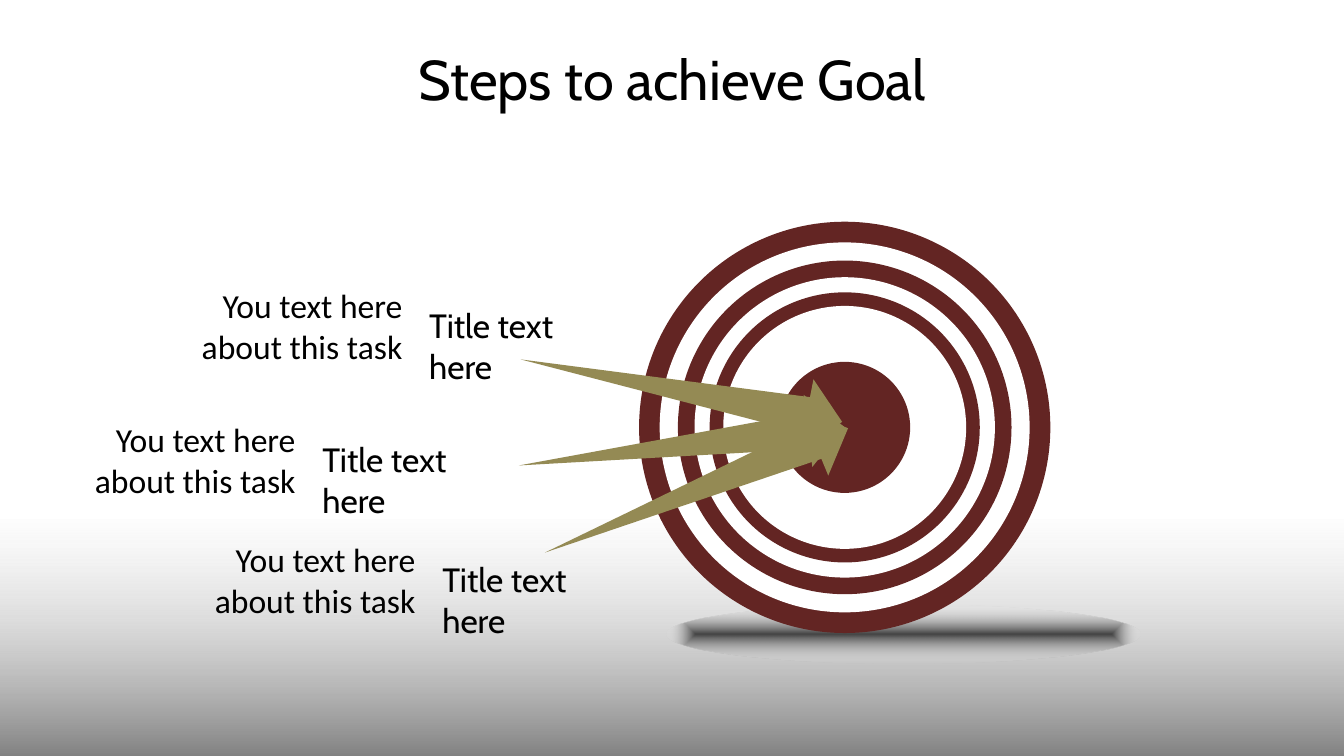
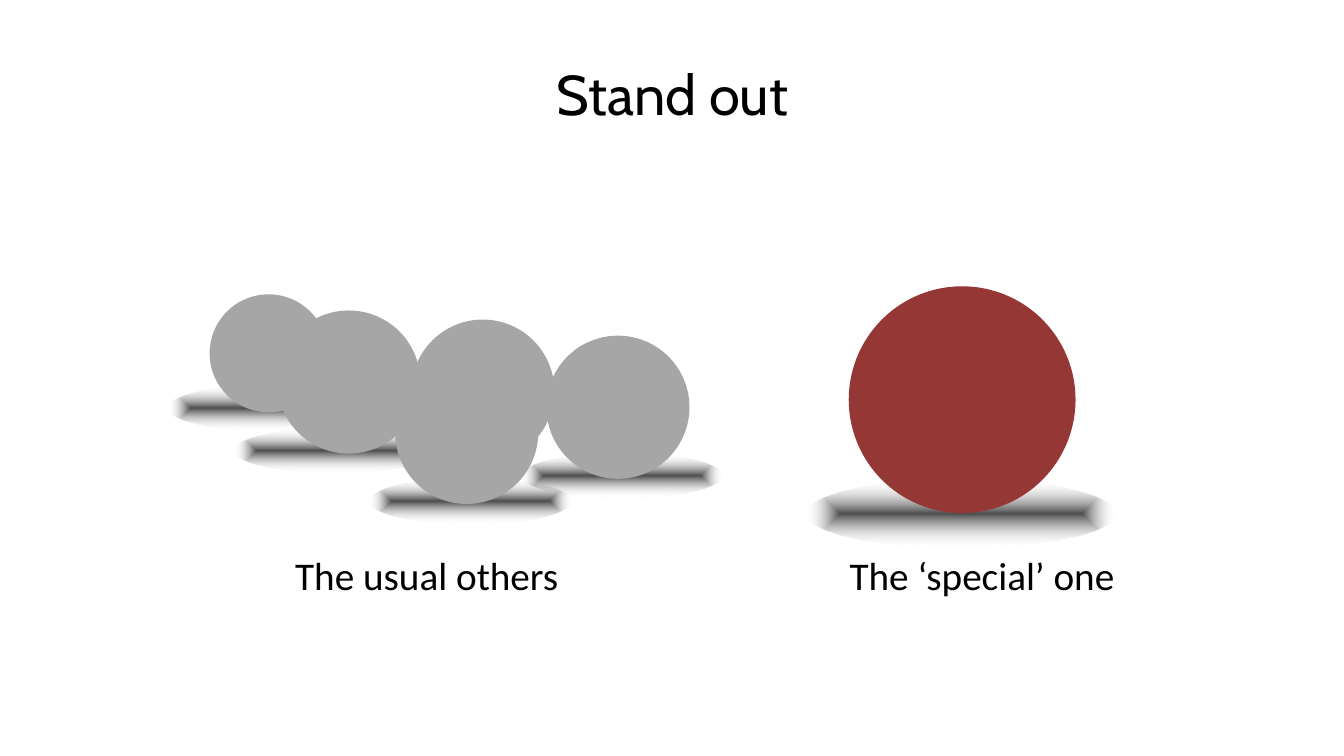
from dataclasses import dataclass

from lxml import etree
from pptx import Presentation
from pptx.dml.color import RGBColor as RGB
from pptx.enum.shapes import MSO_SHAPE as SHAPE
from pptx.enum.text import MSO_ANCHOR as ANCHOR, PP_ALIGN as ALIGN
from pptx.oxml.ns import qn
from pptx.util import Pt

PX = 9144  # EMU per px, 100 px to the inch


@dataclass(frozen=True)
class Theme:
    ink: str = "000000"
    white: str = "FFFFFF"
    ring: str = "632523"
    arrow: str = "948A54"
    usual: str = "A6A6A6"
    special: str = "953735"
    # Gradient stops: position %, colour, opacity %
    floor: tuple = ((0, "D9D9D9", 4), (46, "BFBFBF", 60), (100, "808080", 100))
    shadow: tuple = ((0, "171717", 76), (100, "FFFFFF", 0))
    head_font: str = "Cabin"
    body_font: str = "Calibri"
    title_size: int = 40
    caption_size: int = 28
    step_size: int = 24


T = Theme()


# Basic parts
def px(*lengths):
    return [round(n * PX) for n in lengths]


def text(shapes, s, box, *, size, font=T.body_font, color=T.ink,
         align=ALIGN.LEFT, anchor=ANCHOR.TOP, wrap=True):
    tf = shapes.add_textbox(*px(*box)).text_frame
    tf.word_wrap = wrap
    tf.vertical_anchor = anchor
    p = tf.paragraphs[0]
    p.alignment = align
    r = p.add_run()
    r.text = s
    r.font.size, r.font.name = Pt(size), font
    r.font.color.rgb = RGB.from_string(color)


def paint(sp, color):
    sp.shadow.inherit = False
    sp.fill.solid()
    sp.fill.fore_color.rgb = RGB.from_string(color)
    sp.line.fill.background()
    return sp


def gradient(sp, stops, angle=None):
    """Linear at an angle, or from the centre outwards without one."""
    fill = etree.Element(qn("a:gradFill"), rotWithShape="1")
    gs_list = etree.SubElement(fill, qn("a:gsLst"))
    for pos, color, opacity in stops:
        gs = etree.SubElement(gs_list, qn("a:gs"), pos=str(pos * 1000))
        clr = etree.SubElement(gs, qn("a:srgbClr"), val=color)
        etree.SubElement(clr, qn("a:alpha"), val=str(opacity * 1000))
    if angle is None:
        centre = etree.SubElement(fill, qn("a:path"))
        centre.set("path", "shape")
        etree.SubElement(centre, qn("a:fillToRect"),
                         {side: "50000" for side in "ltrb"})
    else:
        etree.SubElement(fill, qn("a:lin"), ang=str(angle * 60000), scaled="0")
    solid = sp._element.spPr.find(qn("a:solidFill"))
    solid.getparent().replace(solid, fill)


def circle(shapes, x, y, d, color):
    paint(shapes.add_shape(SHAPE.OVAL, *px(x, y, d, d)), color)


def ground_shadow(shapes, x, y, w=200, h=44):
    sp = paint(shapes.add_shape(SHAPE.OVAL, *px(x, y, w, h)), T.white)
    gradient(sp, T.shadow)


def title(slide, s, box):
    text(slide.shapes, s, box, size=T.title_size, font=T.head_font,
         align=ALIGN.CENTER, anchor=ANCHOR.MIDDLE)


# Goal slide regions
def floor(slide, box):
    sp = paint(slide.shapes.add_shape(SHAPE.RECTANGLE, *px(*box)), T.white)
    gradient(sp, T.floor, angle=90)


def target(slide, x, y, d):
    ground_shadow(slide.shapes, x + 27, y + 380, 470, 58)
    rings = slide.shapes.add_group_shape().shapes
    for i, ring in enumerate((d, 367, 331, 298, 268, 241, 130)):
        inset = (d - ring) / 2
        circle(rings, x + inset, y + inset, ring, (T.ring, T.white)[i % 2])


def arrow(slide, x, y, rotation, w=72, h=325):
    barb = h - 36
    fb = slide.shapes.build_freeform(0, barb, scale=PX)
    fb.add_line_segments([(w / 4, barb), (w / 2, 0), (w * 3 / 4, barb),
                          (w, barb), (w / 2, h)], close=True)
    paint(fb.convert_to_shape(*px(x, y)), T.arrow).rotation = rotation


def step(slide, x, y):
    group = slide.shapes.add_group_shape().shapes
    text(group, "Title text here", (x + 272, y + 20, 197, 50),
         size=T.step_size, font=T.head_font)
    text(group, "You text here about this task", (x, y, 265, 91),
         size=T.step_size, align=ALIGN.RIGHT)


def goal_slide(slide):
    floor(slide, (0, 516, 1334, 236))
    target(slide, 634, 220, 408)
    for x, y, rotation in ((640, 225, 281), (640, 280, 263.2),
                           (655, 324, 247.7)):
        arrow(slide, x, y, rotation)
    title(slide, "Steps to achieve Goal", (217, 30, 900, 95))
    for x, y in ((144, 278), (38, 411), (157, 530)):
        step(slide, x, y)


# Stand-out slide regions
def caption(slide, s, x, y):
    text(slide.shapes, s, (x, y, 285, 57), size=T.caption_size, wrap=False)


def usual_others(slide, x, y):
    for dx, dy in ((0, 91), (66, 133), (200, 183), (350, 158)):
        ground_shadow(slide.shapes, x + dx, y + dy)
    for dx, dy, d in ((41, 0, 117), (108, 16, 142), (241, 25, 142),
                      (375, 41, 142), (225, 66, 142)):
        circle(slide.shapes, x + dx, y + dy, d, T.usual)
    caption(slide, "The usual others", x + 116, y + 250)


def special_one(slide, x, y):
    group = slide.shapes.add_group_shape().shapes
    ground_shadow(group, x, y + 192, 307, 67)
    circle(group, x + 42, y, 225, T.special)
    caption(slide, "The ‘special’ one", x + 33, y + 258)


def stand_out_slide(slide):
    usual_others(slide, 167, 292)
    special_one(slide, 800, 284)
    title(slide, "Stand out", (67, 30, 1200, 125))


def main():
    prs = Presentation()
    prs.slide_width, prs.slide_height = px(1333.33, 750)
    for build in (goal_slide, stand_out_slide):
        build(prs.slides.add_slide(prs.slide_layouts[6]))
    prs.save("out.pptx")


if __name__ == "__main__":
    main()
